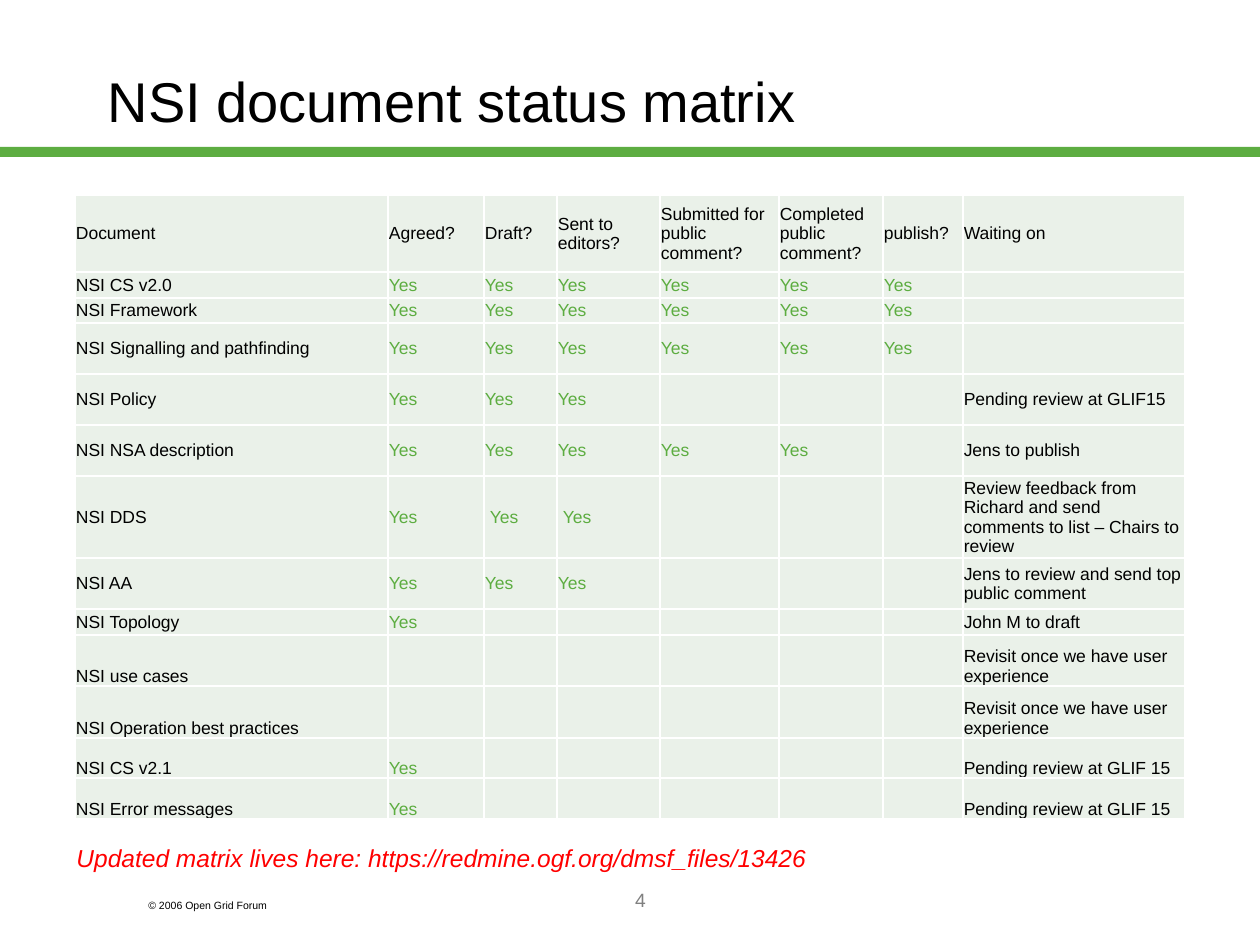
from lxml.etree import SubElement
from pptx import Presentation
from pptx.dml.color import RGBColor
from pptx.enum.shapes import MSO_SHAPE
from pptx.enum.text import MSO_ANCHOR, PP_ALIGN
from pptx.oxml.ns import qn
from pptx.util import Pt

SCALE = 914400 / 126  # EMU in one px
FONT = "Arial"
BLACK, GREEN, PALE, WHITE = "000000", "5DAD41", "EAF1E9", "FFFFFF"
GRAY, RED = "808080", "FF0000"

COLS = [313, 96, 73, 103, 119, 104, 80, 222]
HEADS = ["Document", "Agreed?", "Draft?", "Sent to editors?",
         "Submitted for public comment?", "Completed public comment?",
         "publish?", "Waiting on"]
HEAD_TALL = 77
# Row height, document, count of steps marked Yes, waiting on
DOCS = [
    (26, "NSI CS v2.0", 6, ""),
    (25, "NSI Framework", 6, ""),
    (51, "NSI Signalling and pathfinding", 6, ""),
    (51, "NSI Policy", 3, "Pending review at GLIF15"),
    (51, "NSI NSA description", 5, "Jens to publish"),
    (82, "NSI DDS", 3, "Review feedback from Richard and send "
                       "comments to list – Chairs to review"),
    (51, "NSI AA", 3, "Jens to review and send top public comment"),
    (26, "NSI Topology", 1, "John M to draft"),
    (51, "NSI use cases", 0, "Revisit once we have user experience"),
    (52, "NSI Operation best practices", 0,
     "Revisit once we have user experience"),
    (40, "NSI CS v2.1", 1, "Pending review at GLIF 15"),
    (41, "NSI Error messages", 1, "Pending review at GLIF 15"),
]
STEPS = len(COLS) - 2
LOW_FROM = 9  # rows from here on sit at the cell bottom


def px(n):
    return round(n * SCALE)


def rgb(code):
    return RGBColor.from_string(code)


def write(frame, text, size, color, align=PP_ALIGN.LEFT, italic=False):
    frame.text = text
    frame.word_wrap = True
    para = frame.paragraphs[0]
    para.alignment = align
    for run in para.runs:
        font = run.font
        font.name, font.size = FONT, Pt(size)
        font.bold, font.italic = False, italic
        font.color.rgb = rgb(color)
    if not text:
        # Keeps empty cells from growing their row
        SubElement(para._p, qn("a:endParaRPr"), sz=str(size * 100))


def add_title(slide, x, y, w, h):
    title = slide.shapes.title
    title.left, title.top, title.width, title.height = map(px, (x, y, w, h))
    write(title.text_frame, "NSI document status matrix", 32, BLACK)
    title.text_frame.vertical_anchor = MSO_ANCHOR.MIDDLE


def add_bar(slide, x, y, w, h):
    bar = slide.shapes.add_shape(MSO_SHAPE.RECTANGLE, *map(px, (x, y, w, h)))
    bar.shadow.inherit = False
    bar.fill.solid()
    bar.fill.fore_color.rgb = rgb(GREEN)
    bar.line.fill.background()


def add_label(slide, x, y, w, h, *style, **more):
    box = slide.shapes.add_textbox(*map(px, (x, y, w, h)))
    write(box.text_frame, *style, **more)


def style_cell(cell, text, color, low, inset):
    write(cell.text_frame, text, 10, color)
    cell.vertical_anchor = MSO_ANCHOR.BOTTOM if low else MSO_ANCHOR.MIDDLE
    cell.margin_left = px(inset)
    cell.margin_top = cell.margin_right = px(1)
    cell.margin_bottom = 0
    # Borders come before the fill in the cell properties
    props = cell._tc.get_or_add_tcPr()
    for side in ("lnL", "lnR", "lnT", "lnB"):
        edge = SubElement(props, qn(f"a:{side}"), w=str(Pt(1)))
        fill = SubElement(edge, qn("a:solidFill"))
        SubElement(fill, qn("a:srgbClr"), val=WHITE)
    cell.fill.solid()
    cell.fill.fore_color.rgb = rgb(PALE)


def add_matrix(slide, x, y):
    talls = [HEAD_TALL] + [doc[0] for doc in DOCS]
    frame = slide.shapes.add_table(
        len(talls), len(COLS), px(x), px(y), px(sum(COLS)), px(sum(talls)))
    table = frame.table
    table.first_row = table.horz_banding = False
    for col, wide in zip(table.columns, COLS):
        col.width = px(wide)
    for row, tall in zip(table.rows, talls):
        row.height = px(tall)

    rows = [HEADS]
    for _, name, done, wait in DOCS:
        rows.append([name] + ["Yes"] * done + [""] * (STEPS - done) + [wait])
    for r, texts in enumerate(rows):
        for c, text in enumerate(texts):
            color = GREEN if text == "Yes" else BLACK
            # The draft and editor marks of NSI DDS are set in a little
            inset = 6 if texts[0] == "NSI DDS" and c in (2, 3) else 1
            style_cell(table.cell(r, c), text, color, r >= LOW_FROM, inset)


def main():
    deck = Presentation()
    deck.slide_width, deck.slide_height = px(1260), px(945)
    slide = deck.slides.add_slide(deck.slide_layouts[5])
    # Header
    add_bar(slide, 0, 147, 1260, 10)
    add_title(slide, 95, 21, 1071, 158)
    # Status table and the note below it
    add_matrix(slide, 75, 195)
    add_label(slide, 64, 837, 873, 43,
              "Updated matrix lives here: "
              "https://redmine.ogf.org/dmsf_files/13426",
              14, RED, italic=True)
    # Footer
    add_label(slide, 136, 893, 189, 25, "© 2006 Open Grid Forum", 6, BLACK)
    add_label(slide, 273, 882, 735, 63, "4", 11, GRAY, align=PP_ALIGN.CENTER)
    deck.save("out.pptx")


if __name__ == "__main__":
    main()
